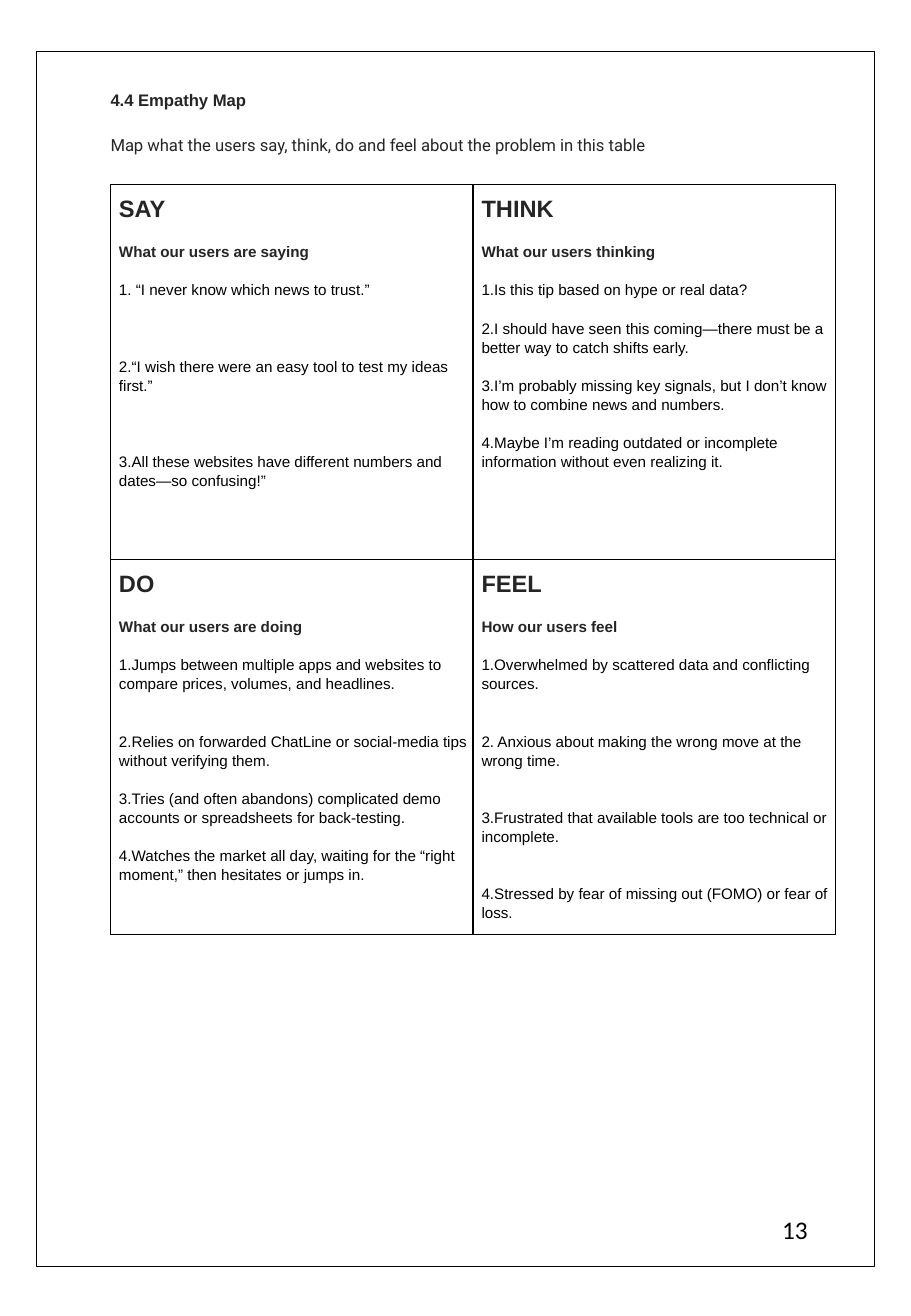
from dataclasses import dataclass

from lxml import etree
from pptx import Presentation
from pptx.dml.color import RGBColor
from pptx.enum.shapes import MSO_SHAPE
from pptx.enum.text import MSO_ANCHOR, MSO_AUTO_SIZE, PP_ALIGN
from pptx.oxml.ns import qn
from pptx.util import Inches, Pt

RECT = MSO_SHAPE.RECTANGLE
TOP = MSO_ANCHOR.TOP
LEFT = PP_ALIGN.LEFT
FIXED = MSO_AUTO_SIZE.NONE


@dataclass(frozen=True)
class Theme:
    """Colours, fonts and type sizes of the page."""
    ink: str = "252525"
    black: str = "000000"
    white: str = "FFFFFF"
    sans: str = "Arial"
    lead: str = "Roboto"
    num: str = "Calibri"
    text: float = 9
    head: float = 9.9
    word: float = 14
    page: float = 15
    pitch: float = 11.3


THEME = Theme()

QUADS = [
    ("SAY", "What our users are saying", [
        (1, " “I never know which news to trust.”"),
        (3, "“I wish there were an easy tool to test my ideas first.”"),
        (3, "All these websites have different numbers and dates—so confusing!”"),
    ]),
    ("THINK", "What our users thinking", [
        (1, "Is this tip based on hype or real data?"),
        (1, "I should have seen this coming—there must be a better way to catch shifts early."),
        (1, "I’m probably missing key signals, but I don’t know how to combine news and numbers."),
        (1, "Maybe I’m reading outdated or incomplete information without even realizing it."),
    ]),
    ("DO", "What our users are doing", [
        (1, "Jumps between multiple apps and websites to compare prices, volumes, and headlines."),
        (2, "Relies on forwarded ChatLine or social-media tips without verifying them."),
        (1, "Tries (and often abandons) complicated demo accounts or spreadsheets for back-testing."),
        (1, "Watches the market all day, waiting for the “right moment,” then hesitates or jumps in."),
    ]),
    ("FEEL", "How our users feel", [
        (1, "Overwhelmed by scattered data and conflicting sources."),
        (2, " Anxious about making the wrong move at the wrong time."),
        (2, "Frustrated that available tools are too technical or incomplete."),
        (2, "Stressed by fear of missing out (FOMO) or fear of loss."),
    ]),
]


def write(frame, text, size=THEME.text, font=THEME.sans, color=THEME.ink,
          bold=False, gap=0, pitch=None, mark="buNone"):
    """Add one formatted paragraph to a text frame."""
    para = frame.paragraphs[0]
    if para.runs:
        para = frame.add_paragraph()
    props = para._p.get_or_add_pPr()
    props.set("marL", "0")
    props.set("indent", "0")
    tag = etree.SubElement(props, qn(f"a:{mark}"))
    if mark == "buAutoNum":
        tag.set("type", "arabicPeriod")
    para.alignment = LEFT
    para.space_before = Pt(gap)
    para.space_after = Pt(0)
    para.line_spacing = Pt(pitch) if pitch else 1.0
    run = para.add_run()
    run.text = text
    run.font.size = Pt(size)
    run.font.name = font
    run.font.bold = bold
    run.font.color.rgb = RGBColor.from_string(color)


def place(shape, box):
    """Move a text shape to its box and clear its margins."""
    shape.left, shape.top, shape.width, shape.height = map(Inches, box)
    frame = shape.text_frame
    frame.margin_left = frame.margin_right = Inches(0.01)
    frame.margin_top = frame.margin_bottom = 0
    frame.vertical_anchor = TOP
    frame.auto_size = FIXED
    frame.word_wrap = True
    return frame


def border(slide, box):
    """Draw the thin page border."""
    shape = slide.shapes.add_shape(RECT, *map(Inches, box))
    shape.shadow.inherit = False
    shape.fill.background()
    shape.line.color.rgb = RGBColor.from_string(THEME.black)
    shape.line.width = Pt(0.5)


def header(slide, box):
    """Fill the title and the lead line below it."""
    left, top, width, height = box
    title, body = slide.placeholders
    write(place(title, (left, top, width, height)), "4.4 Empathy Map",
          size=THEME.head, bold=True)
    write(place(body, (left, top + 0.37, width, height)),
          "Map what the users say, think, do and feel about the problem in this table",
          size=THEME.head, font=THEME.lead)


def edge(cell):
    """Give a cell four black borders."""
    props = cell._tc.get_or_add_tcPr()
    for spot, side in enumerate(("lnL", "lnR", "lnT", "lnB")):
        line = etree.Element(qn(f"a:{side}"), w=str(Pt(1)))
        fill = etree.SubElement(line, qn("a:solidFill"))
        etree.SubElement(fill, qn("a:srgbClr"), val=THEME.black)
        props.insert(spot, line)


def quad(cell, word, sub, items):
    """Write one quarter of the map."""
    cell.margin_left = Inches(0.07)
    cell.margin_right = cell.margin_bottom = 0
    cell.margin_top = Pt(THEME.pitch)
    cell.vertical_anchor = TOP
    cell.fill.solid()
    cell.fill.fore_color.rgb = RGBColor.from_string(THEME.white)
    edge(cell)
    frame, pitch = cell.text_frame, THEME.pitch
    write(frame, word, size=THEME.word, bold=True, pitch=pitch)
    write(frame, sub, bold=True, gap=pitch, pitch=pitch)
    for lines, text in items:
        write(frame, text, color=THEME.black, gap=lines * pitch, pitch=pitch,
              mark="buAutoNum")


def grid(slide, box):
    """Build the two by two empathy table."""
    table = slide.shapes.add_table(2, 2, *map(Inches, box)).table
    table.first_row = table.horz_banding = False
    for spot, data in enumerate(QUADS):
        quad(table.cell(*divmod(spot, 2)), *data)


def folio(slide, box):
    """Write the page number."""
    frame = place(slide.shapes.add_textbox(*map(Inches, box)), box)
    write(frame, "13", size=THEME.page, font=THEME.num, color=THEME.black)


def main():
    """Build the page and save it."""
    deck = Presentation()
    deck.slide_width, deck.slide_height = Inches(7.5), Inches(10.83)
    slide = deck.slides.add_slide(deck.slide_layouts[1])
    border(slide, (0.3, 0.42, 6.9, 10))
    header(slide, (0.9, 0.74, 4.8, 0.2))
    grid(slide, (0.91, 1.52, 5.97, 6.17))
    folio(slide, (6.43, 9.99, 0.46, 0.26))
    deck.save("out.pptx")


if __name__ == "__main__":
    main()
